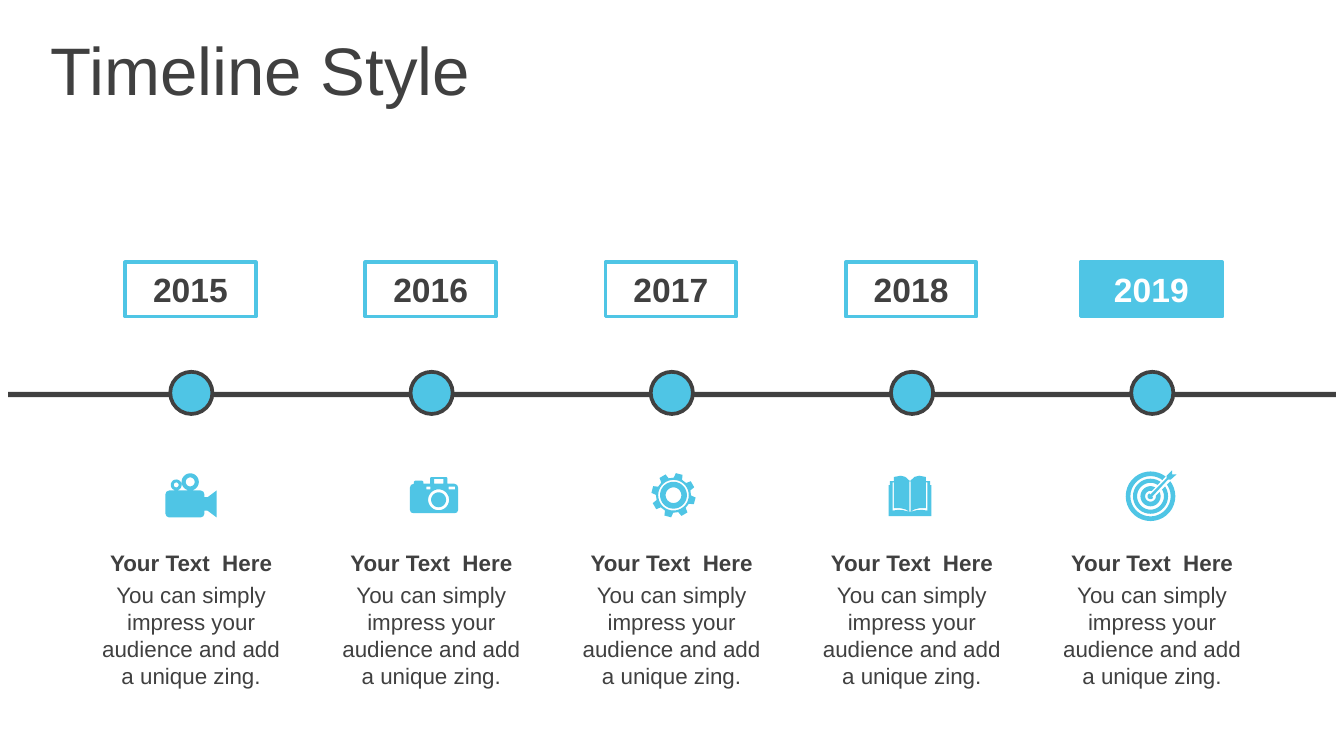
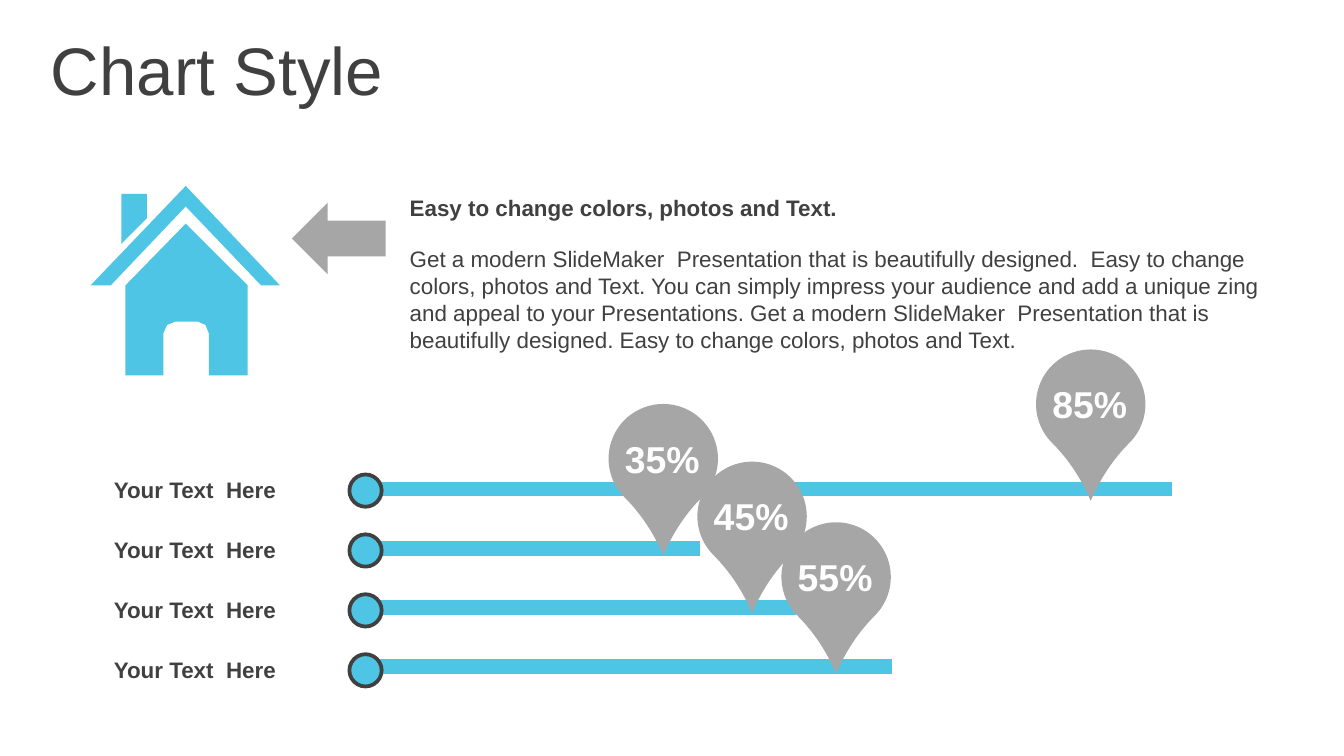
from dataclasses import dataclass
from math import cos, radians, sin

from lxml import etree
from pptx import Presentation
from pptx.chart.data import CategoryChartData
from pptx.dml.color import RGBColor
from pptx.enum.chart import XL_CHART_TYPE
from pptx.enum.shapes import MSO_SHAPE
from pptx.enum.text import MSO_ANCHOR, MSO_AUTO_SIZE, PP_ALIGN
from pptx.util import Pt


@dataclass(frozen=True)
class Theme:
    font: str = "Arial"
    dark: RGBColor = RGBColor(0x40, 0x40, 0x40)
    blue: RGBColor = RGBColor(0x4F, 0xC5, 0xE5)
    gray: RGBColor = RGBColor(0xA6, 0xA6, 0xA6)
    white: RGBColor = RGBColor(0xFF, 0xFF, 0xFF)
    title: int = 36
    pin: int = 20
    year: int = 18
    text: int = 12
    line: int = 2


T = Theme()


def add(slide, kind, at, text="", fill=None, line=None, size=T.text,
        bold=False, color=T.dark, align=PP_ALIGN.LEFT, wrap=True):
    """Add a preset shape, or a text box when kind is None."""
    rect = [Pt(v) for v in at]
    if kind is None:
        shape = slide.shapes.add_textbox(*rect)
    else:
        shape = slide.shapes.add_shape(kind, *rect)
        shape.shadow.inherit = False
        if fill is None:
            shape.fill.background()
        else:
            shape.fill.solid()
            shape.fill.fore_color.rgb = fill
        if line is None:
            shape.line.fill.background()
        else:
            shape.line.color.rgb = line
            shape.line.width = Pt(T.line)
    if text:
        frame = shape.text_frame
        frame.word_wrap = wrap
        frame.vertical_anchor = MSO_ANCHOR.MIDDLE
        para = frame.paragraphs[0]
        para.alignment = align
        run = para.add_run()
        run.text = text
        run.font.name = T.font
        run.font.size = Pt(size)
        run.font.bold = bold
        run.font.color.rgb = color
    return shape


def draw(slide, left, top, parts, fill=T.blue):
    """Draw outlines as one shape; a part (x, y, r) is a circle."""
    pen = None
    for part in parts:
        if isinstance(part, tuple):
            x, y, r = part
            part = [(x + r * cos(radians(a)), y + r * sin(radians(a)))
                    for a in range(0, 360, 10)]
        dots = [(Pt(x), Pt(y)) for x, y in part]
        if pen is None:
            pen = slide.shapes.build_freeform(*dots[0])
        else:
            pen.move_to(*dots[0])
        pen.add_line_segments(dots[1:], close=True)
    shape = pen.convert_to_shape(Pt(left), Pt(top))
    shape.shadow.inherit = False
    shape.fill.solid()
    shape.fill.fore_color.rgb = fill
    shape.line.fill.background()


deck = Presentation()
deck.slide_width, deck.slide_height = Pt(720), Pt(405)

# Slides with the shared title style
slides = []
for name in ("Timeline Style", "Chart Style"):
    slide = deck.slides.add_slide(deck.slide_layouts[5])
    head = slide.shapes.title
    head.left, head.top, head.width, head.height = Pt(20), Pt(14), Pt(700), Pt(45)
    frame = head.text_frame
    frame.auto_size = MSO_AUTO_SIZE.NONE
    frame.vertical_anchor = MSO_ANCHOR.MIDDLE
    para = frame.paragraphs[0]
    para.alignment = PP_ALIGN.LEFT
    run = para.add_run()
    run.text = name
    run.font.name = T.font
    run.font.size = Pt(T.title)
    run.font.color.rgb = T.dark
    slides.append(slide)
time, stats = slides

# Timeline: axis, then one column per year
add(time, MSO_SHAPE.RECTANGLE, (4.3, 209.9, 711.4, 2.9), fill=T.dark)
STEP = 128.7
for i in range(5):
    x = i * STEP
    last = i == 4
    grow = 3 if last else 0
    add(time, MSO_SHAPE.RECTANGLE, (67 + x - grow, 140.5, 70 + 2 * grow, 29.1),
        str(2015 + i), fill=T.blue if last else None, line=T.blue,
        size=T.year, bold=True, color=T.white if last else T.dark,
        align=PP_ALIGN.CENTER)
    add(time, MSO_SHAPE.OVAL, (91.2 + x, 199.2, 22.6, 22.6),
        fill=T.blue, line=T.dark)
    add(time, None, (47.4 + x, 290.4, 110, 21.8), "Your Text  Here",
        bold=True, align=PP_ALIGN.CENTER)
    add(time, None, (47.4 + x, 307.4, 110, 65.4),
        "You can simply impress your audience and add a unique zing.",
        align=PP_ALIGN.CENTER)

# Icon: film camera
draw(time, 88.6, 253.4, [
    [(0, 11.4), (0.6, 10), (2, 9.4), (18.9, 9.4), (20.3, 10), (20.9, 11.4),
     (20.9, 13), (22.6, 13), (27.4, 9.4), (27.4, 23.8), (22.6, 20.2),
     (20.9, 20.2), (20.9, 21.8), (20.3, 23.2), (18.9, 23.8), (2, 23.8),
     (0.6, 23.2), (0, 21.8)],
    (13.3, 4.8, 4.6), (13.3, 4.8, 2.4), (5.8, 6.4, 2.9), (5.8, 6.4, 1.3)])

# Icon: photo camera
draw(time, 219.6, 255.6, [
    [(0, 5.8), (0.6, 4.2), (2.2, 3.6), (2.2, 2.5), (2.9, 1.9), (6.5, 1.9),
     (7.2, 2.5), (7.2, 3.6), (10.9, 3.6), (10.9, 0.5), (11.4, 0), (19.6, 0),
     (20.1, 0.5), (20.1, 3.6), (23.8, 3.6), (25.3, 4.2), (25.9, 5.8),
     (25.9, 17.6), (25.3, 19), (23.8, 19.4), (2.2, 19.4), (0.6, 19), (0, 17.6)],
    (15.4, 12.2, 5.6), (15.4, 12.2, 4),
    [(13, 1), (18, 1), (18, 3.6), (13, 3.6)],
    [(8.8, 5.2), (11, 5.2), (11, 6.6), (8.8, 6.6)],
    [(20.8, 5.2), (24.2, 5.2), (24.2, 6.6), (20.8, 6.6)]])

# Icon: gear with eight teeth
teeth = [(11.6 + r * cos(radians(a)), 11.9 + r * sin(radians(a)))
         for mid in range(15, 375, 45)
         for a, r in ((mid - 14, 9.4), (mid - 9, 11.9),
                      (mid + 9, 11.9), (mid + 14, 9.4))]
draw(time, 349.2, 253.4, [teeth] + [(11.6, 11.9, r) for r in (8.2, 7.2, 4.2)])

# Icon: open book, with both page edges from one half
edge = [(2.2, 3.6), (2.9, 3.6), (2.9, 17.3), (6, 17.3), (9, 18),
        (11.5, 19.4), (8, 18.5), (5, 18.3), (2.2, 18.7)]
half = [(11.5, 2.9), (9, 0.6), (6.5, 0), (2.9, 0.7), (2.9, 2.9), (0.7, 2.9),
        (0.7, 5), (0, 5), (0, 21.6)]
draw(time, 476, 254.9, [
    half + [(23 - x, y) for x, y in reversed(half)],
    edge, [(23 - x, y) for x, y in edge],
    [(11.2, 3), (11.8, 3), (11.8, 19.4), (11.2, 19.4)]])

# Icon: target and arrow
draw(time, 603.4, 252,
     [(13, 13.9, r) for r in (13.3, 10.8, 9.4, 7.2, 5.4, 2.9, 1.6)])
draw(time, 603.4, 252, [[(12.4, 12.4), (22, 2.5), (24.4, 4.9), (14.6, 14.8)]],
     T.white)
draw(time, 603.4, 252, [
    [(12.4, 13.4), (21.6, 4.3), (21.6, 2.9), (24.5, 0), (24.5, 2.2),
     (26.9, 2.2), (23.8, 5), (22.3, 5), (13.6, 14.4)]])

# House: walls, chimney, roof
draw(stats, 48.5, 99.6, [
    [(51, 20.2), (84.2, 53.3), (84.2, 101.5), (63.4, 101.5), (63.4, 79),
     (61.6, 74.5), (57.6, 72.7), (45.4, 72.7), (41, 74.5), (39, 79),
     (39, 101.5), (18.7, 101.5), (18.7, 53.3)],
    [(16.6, 4.3), (30.2, 4.3), (30.2, 17.3), (16.6, 31)],
    [(51, 0), (101.5, 53.3), (91.4, 53.3), (51, 11), (10.8, 53.3), (0, 53.3)]])

# Arrow and message
arrow = add(stats, MSO_SHAPE.RIGHT_ARROW, (156.4, 108.7, 50.2, 38.2), fill=T.gray)
arrow.rotation = 180
add(stats, None, (212.4, 127.4, 470, 65.4),
    "Get a modern SlideMaker  Presentation that is beautifully designed.  "
    "Easy to change colors, photos and Text. You can simply impress your "
    "audience and add a unique zing and appeal to your Presentations. Get a "
    "modern SlideMaker  Presentation that is beautifully designed. Easy to "
    "change colors, photos and Text.")
add(stats, None, (212.4, 100.2, 470, 21.8),
    "Easy to change colors, photos and Text.", bold=True)

# Bar chart
data = CategoryChartData()
data.categories = ["1", "2", "3", "4"]
data.add_series("Series 1", (65, 53, 41, 100))
chart = stats.shapes.add_chart(
    XL_CHART_TYPE.BAR_STACKED, Pt(190.1), Pt(236.2), Pt(476.6), Pt(149), data).chart
chart.has_legend = False
chart.has_title = False
chart.font.name = T.font
chart.font.size = Pt(T.year)
chart.font.color.rgb = RGBColor(0, 0, 0)
chart.category_axis.visible = False
axis = chart.value_axis
axis.visible = False
axis.has_major_gridlines = False
axis.minimum_scale, axis.maximum_scale = 0, 106
plot = chart.plots[0]
plot.gap_width, plot.overlap = 300, 100
plot.vary_by_categories = False
bars = plot.series[0].format.fill
bars.solid()
bars.fore_color.rgb = T.blue

# Fixed plot area
area = chart.element.chart.plotArea
for old in area.findall("{*}layout"):
    area.remove(old)
NS = "http://schemas.openxmlformats.org/drawingml/2006/chart"
layout = etree.Element(f"{{{NS}}}layout")
manual = etree.SubElement(layout, f"{{{NS}}}manualLayout")
for tag, val in (("layoutTarget", "inner"), ("xMode", "edge"), ("yMode", "edge"),
                 ("x", "0.019"), ("y", "0.067"), ("w", "0.954"), ("h", "0.852")):
    etree.SubElement(manual, f"{{{NS}}}{tag}").set("val", val)
area.insert(0, layout)

# Row labels and dots
for i in range(4):
    y = i * 32.1
    add(stats, MSO_SHAPE.OVAL, (187.2, 254.2 + y, 17.3, 17.3),
        fill=T.blue, line=T.dark)
    add(stats, None, (53.9, 251.5 + y, 120, 21.8), "Your Text  Here", bold=True)

# Percent pins
for text, x, y in (("85%", 555, 187.2), ("35%", 326, 216.4),
                   ("45%", 373.6, 247.3), ("55%", 418.6, 279.8)):
    pin = add(stats, MSO_SHAPE.TEAR, (x, y, 58.6, 58.6), fill=T.gray)
    pin.adjustments[0] = 1.25
    pin.rotation = 135
    add(stats, None, (x + 1.7, y + 13.4, 54.7, 31.5), text, size=T.pin,
        bold=True, color=T.white, wrap=False)

deck.save("out.pptx")
